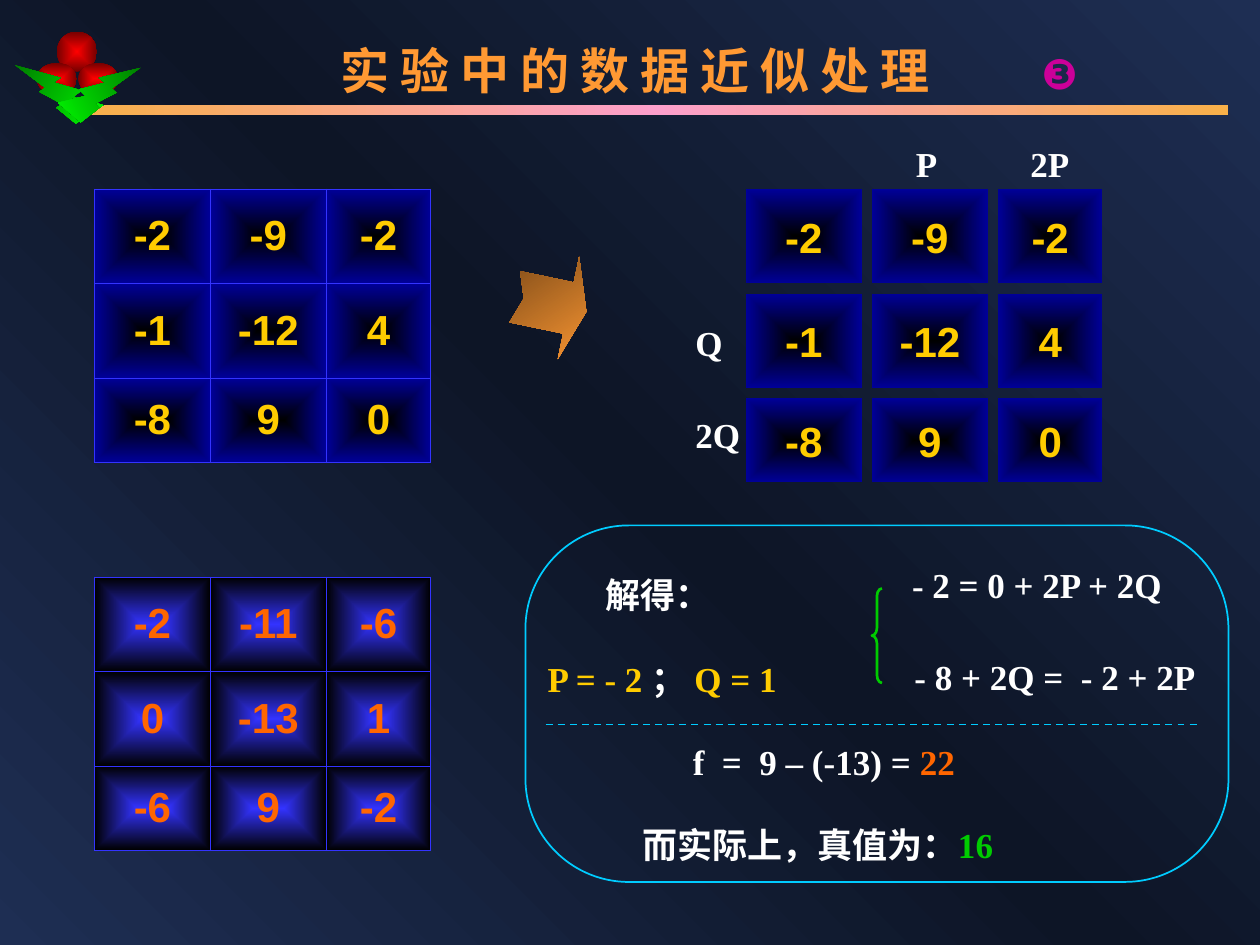
from dataclasses import dataclass
from itertools import accumulate
from typing import Any, NamedTuple, Optional

import lxml.etree
import pptx
import pptx.dml.color
import pptx.enum.dml
import pptx.enum.shapes
import pptx.enum.text
import pptx.oxml.ns
import pptx.util

Inches, Pt = pptx.util.Inches, pptx.util.Pt
qn = pptx.oxml.ns.qn
Shape = pptx.enum.shapes.MSO_SHAPE
Align = pptx.enum.text.PP_ALIGN
Anchor = pptx.enum.text.MSO_ANCHOR
AutoSize = pptx.enum.text.MSO_AUTO_SIZE


class Gradient(NamedTuple):
    """Evenly spaced colours: linear at an angle, or from the centre outwards if angle is None."""
    colors: tuple[str, ...]
    angle: Optional[int] = None


class Run(NamedTuple):
    text: str
    color: str


class Box(NamedTuple):
    left: float
    top: float
    width: float
    height: float

    def emu(self) -> list[int]:
        return [Inches(v) for v in self]


class Label(NamedTuple):
    box: Box
    runs: tuple[Run, ...]


class Bolt(NamedTuple):
    box: Box
    rotation: float
    flips: tuple[str, ...]


@dataclass(frozen=True)
class Theme:
    serif: str = "Times New Roman"
    sans: str = "Arial"
    title_size: int = 28
    number_size: int = 24
    text_size: int = 20
    white: str = "FFFFFF"
    orange: str = "FF9933"
    yellow: str = "FFCC00"
    result: str = "FF6600"
    green: str = "00CC00"
    cyan: str = "00CCFF"
    magenta: str = "CC0099"
    border: str = "3333FF"
    background: Gradient = Gradient(("1E2E53", "0D1526", "1E2E53"), 135)
    rule: Gradient = Gradient(("F8B049", "FC9FCB", "F8B049"), 180)
    berry: Gradient = Gradient(("FF0000", "750000"))
    leaf: Gradient = Gradient(("007500", "00FF00"), 225)
    arrow: Gradient = Gradient(("FF9933", "754617"), 225)
    dark_cell: Gradient = Gradient(("000000", "000099"))
    bright_cell: Gradient = Gradient(("3333FF", "000000"))


T = Theme()
COLS, ROWS, GAP = (0.92, 0.92, 0.83), (0.75, 0.75, 0.67), 0.08
MEASURED = (("-2", "-9", "-2"), ("-1", "-12", "4"), ("-8", "9", "0"))
ADJUSTED = (("-2", "-11", "-6"), ("0", "-13", "1"), ("-6", "9", "-2"))
BERRIES = (Box(0.45, 0.25, 0.32, 0.32), Box(0.62, 0.5, 0.32, 0.25), Box(0.29, 0.5, 0.32, 0.25))
LEAVES = (Bolt(Box(0.17, 0.45, 0.62, 0.55), 348.3, ("flipH", "flipV")),
          Bolt(Box(0.5, 0.45, 0.55, 0.55), 16.4, ("flipV",)))
GRID_LABELS = (
    Label(Box(7.17, 1.08, 0.37, 0.44), (Run("P", T.white),)),
    Label(Box(8.08, 1.08, 0.53, 0.44), (Run("2P", T.white),)),
    Label(Box(5.42, 2.5, 0.43, 0.44), (Run("Q", T.white),)),
    Label(Box(5.42, 3.23, 0.58, 0.44), (Run("2Q", T.white),)),
)
EQUATIONS = (
    Label(Box(7.14, 4.42, 2.2, 0.44), (Run("- 2 = 0 + 2P + 2Q", T.white),)),
    Label(Box(7.16, 5.15, 2.43, 0.44), (Run("- 8 + 2Q =  - 2 + 2P", T.white),)),
    Label(Box(5.4, 5.83, 2.28, 0.44), (Run("f  =  9 – (-13) = ", T.white), Run("22", T.result))),
)


def rgb(color: str) -> pptx.dml.color.RGBColor:
    return pptx.dml.color.RGBColor.from_string(color)


def paint(fill: Any, gradient: Gradient) -> None:
    fill.gradient()
    grad = fill._xPr.find(qn("a:gradFill"))
    for child in list(grad):
        grad.remove(child)
    grad.set("rotWithShape", "1")
    stops = lxml.etree.SubElement(grad, qn("a:gsLst"))
    for i, color in enumerate(gradient.colors):
        pos = 100000 * i // (len(gradient.colors) - 1)
        stop = lxml.etree.SubElement(stops, qn("a:gs"), pos=str(pos))
        lxml.etree.SubElement(stop, qn("a:srgbClr"), val=color)
    if gradient.angle is None:
        center = lxml.etree.SubElement(grad, qn("a:path"), {"path": "rect"})
        lxml.etree.SubElement(center, qn("a:fillToRect"), dict.fromkeys("ltrb", "50000"))
    else:
        lxml.etree.SubElement(grad, qn("a:lin"), ang=str(gradient.angle * 60000), scaled="0")


def add_runs(p: Any, runs: tuple[Run, ...], size: int, font: str) -> None:
    for run in runs:
        r = p.add_run()
        r.text = run.text
        r.font.size, r.font.name, r.font.bold = Pt(size), font, True
        r.font.color.rgb = rgb(run.color)


def add_label(shapes: Any, label: Label, size: int = T.text_size, font: str = T.serif,
              wrap: bool = False) -> Any:
    tf = shapes.add_textbox(*label.box.emu()).text_frame
    tf.word_wrap, tf.auto_size = wrap, AutoSize.SHAPE_TO_FIT_TEXT
    add_runs(tf.paragraphs[0], label.runs, size, font)
    return tf


def add_filled(shapes: Any, kind: Shape, box: Box, gradient: Gradient) -> Any:
    sp = shapes.add_shape(kind, *box.emu())
    sp.shadow.inherit = False
    sp.line.fill.background()
    paint(sp.fill, gradient)
    return sp


def add_outline(shapes: Any, kind: Shape, box: Box, color: str, width: float, adj: float) -> None:
    sp = shapes.add_shape(kind, *box.emu())
    sp.shadow.inherit = False
    sp.fill.background()
    sp.line.color.rgb, sp.line.width = rgb(color), Pt(width)
    sp.adjustments[0] = adj


def write_number(tf: Any, text: str, color: str) -> None:
    p = tf.paragraphs[0]
    p.alignment = Align.CENTER
    add_runs(p, (Run(text, color),), T.number_size, T.sans)


def add_borders(cell: Any) -> None:
    tc_pr = cell._tc.get_or_add_tcPr()
    for i, side in enumerate(("lnL", "lnR", "lnT", "lnB")):
        ln = lxml.etree.Element(qn(f"a:{side}"), w=str(Pt(0.45)))
        solid = lxml.etree.SubElement(ln, qn("a:solidFill"))
        lxml.etree.SubElement(solid, qn("a:srgbClr"), val=T.border)
        tc_pr.insert(i, ln)


def add_matrix(shapes: Any, top: float, values: tuple, gradient: Gradient, color: str) -> None:
    box = Box(0.75, top, sum(COLS), sum(ROWS))
    table = shapes.add_table(len(ROWS), len(COLS), *box.emu()).table
    table.first_row = table.horz_banding = False
    for col, width in zip(table.columns, COLS):
        col.width = Inches(width)
    for row, height, texts in zip(table.rows, ROWS, values):
        row.height = Inches(height)
        for cell, text in zip(row.cells, texts):
            cell.vertical_anchor = Anchor.MIDDLE
            paint(cell.fill, gradient)
            add_borders(cell)
            write_number(cell.text_frame, text, color)


def add_spread_matrix(shapes: Any) -> None:
    """Draw the measured values as separate tiles with their row and column labels."""
    lefts = accumulate((w + GAP for w in COLS[:-1]), initial=5.92)
    columns = list(zip(lefts, COLS))
    tops = accumulate((h + GAP for h in ROWS[:-1]), initial=1.5)
    for top, height, texts in zip(tops, ROWS, MEASURED):
        for (left, width), text in zip(columns, texts):
            sp = add_filled(shapes, Shape.RECTANGLE, Box(left, top, width, height), T.dark_cell)
            sp.text_frame.vertical_anchor = Anchor.MIDDLE
            write_number(sp.text_frame, text, T.yellow)
    for label in GRID_LABELS:
        add_label(shapes, label)


def add_header(slide: Any) -> None:
    add_filled(slide.shapes, Shape.RECTANGLE, Box(0.67, 0.83, 9.08, 0.08), T.rule)
    title = slide.shapes.title
    title.left, title.top, title.width, title.height = Box(2.5, 0.27, 5.08, 0.57).emu()
    tf = title.text_frame
    tf.word_wrap, tf.vertical_anchor, tf.auto_size = True, Anchor.TOP, AutoSize.NONE
    tf.paragraphs[0].alignment = Align.CENTER
    add_runs(tf.paragraphs[0], (Run("实 验 中 的 数 据 近 似 处 理", T.orange),), T.title_size, T.serif)
    ornament = slide.shapes.add_group_shape().shapes
    for box in BERRIES:
        add_filled(ornament, Shape.OVAL, box, T.berry)
    for leaf in LEAVES:
        sp = add_filled(ornament, Shape.LIGHTNING_BOLT, leaf.box, T.leaf)
        sp.rotation = leaf.rotation
        for flip in leaf.flips:
            sp._element.spPr.find(qn("a:xfrm")).set(flip, "1")
    add_label(slide.shapes, Label(Box(8.17, 0.33, 0.49, 0.5), (Run("❸", T.magenta),)),
              T.number_size, T.sans)


def add_solution(shapes: Any) -> None:
    add_outline(shapes, Shape.ROUNDED_RECTANGLE, Box(4.17, 4.17, 5.58, 2.83), T.cyan, 1, 0.29)
    add_outline(shapes, Shape.LEFT_BRACE, Box(6.92, 4.67, 0.08, 0.75), T.green, 1.5, 0.75)
    for label in EQUATIONS:
        add_label(shapes, label)
    tf = add_label(shapes, Label(Box(4.1, 4.5, 2.24, 1.1), (Run("解得：", T.white),)))
    p = tf.add_paragraph()
    p._p.get_or_add_pPr().set("marL", str(Inches(0.07)))
    p.space_before = Pt(24)
    add_runs(p, (Run("P = - 2 ", T.yellow), Run("； ", T.white), Run("Q = 1", T.yellow)),
             T.text_size, T.serif)
    for p in tf.paragraphs:
        p.alignment = Align.CENTER
    truth = Label(Box(5, 6.42, 3.33, 0.5), (Run("而实际上，真值为：", T.white), Run("16", T.green)))
    add_label(shapes, truth, wrap=True).paragraphs[0].line_spacing = 1.2
    line = shapes.add_connector(pptx.enum.shapes.MSO_CONNECTOR.STRAIGHT,
                                Inches(4.33), Inches(5.75), Inches(9.5), Inches(5.75))
    line.line.color.rgb, line.line.width = rgb(T.cyan), Pt(1)
    line.line.dash_style = pptx.enum.dml.MSO_LINE.DASH
    lxml.etree.SubElement(line._element.spPr, qn("a:effectLst"))


def main() -> None:
    prs = pptx.Presentation()
    prs.slide_width, prs.slide_height = Inches(10), Inches(7.5)
    slide = prs.slides.add_slide(prs.slide_layouts[5])
    paint(slide.background.fill, T.background)
    add_header(slide)
    add_matrix(slide.shapes, 1.5, MEASURED, T.dark_cell, T.yellow)
    add_spread_matrix(slide.shapes.add_group_shape().shapes)
    add_matrix(slide.shapes, 4.58, ADJUSTED, T.bright_cell, T.result)
    arrow = add_filled(slide.shapes, Shape.NOTCHED_RIGHT_ARROW, Box(4.08, 2, 0.58, 0.83), T.arrow)
    arrow.adjustments[0], arrow.adjustments[1] = 0.5, 0.25
    arrow.rotation = 11.8
    add_solution(slide.shapes)
    prs.save("out.pptx")


if __name__ == "__main__":
    main()
